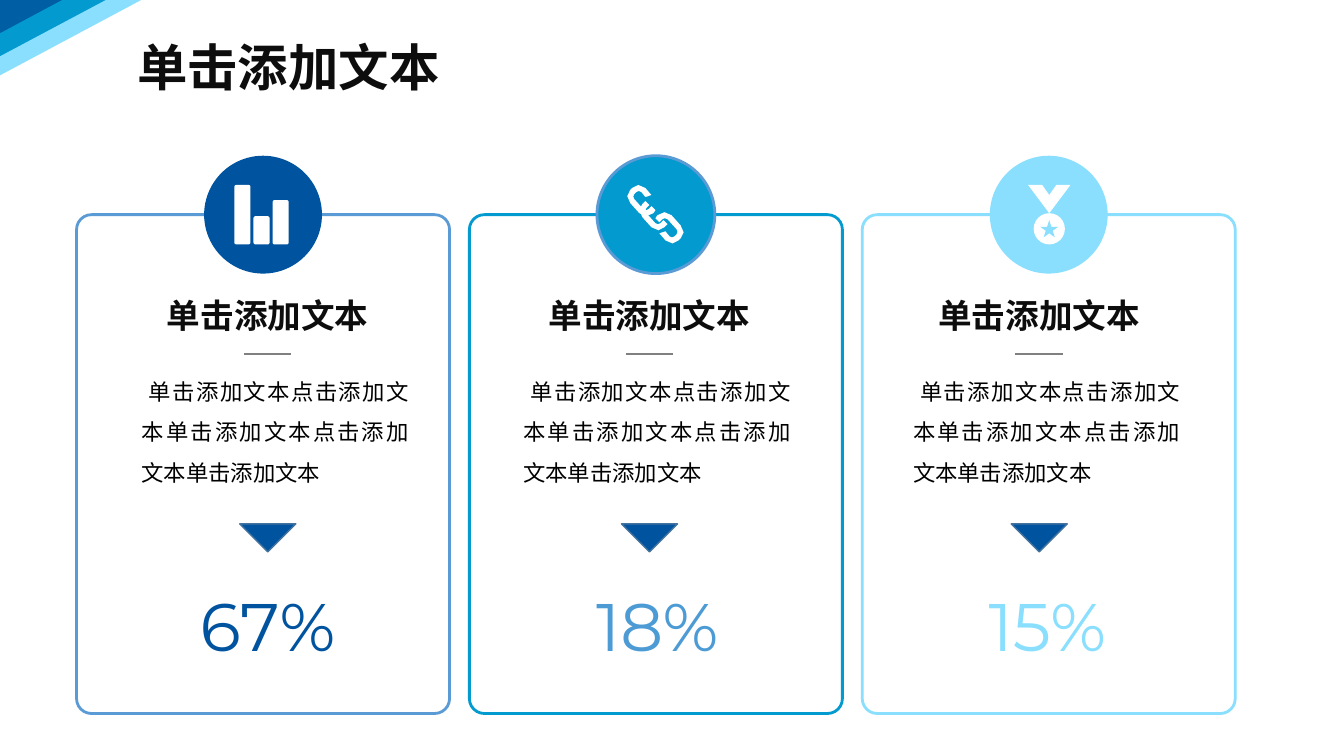
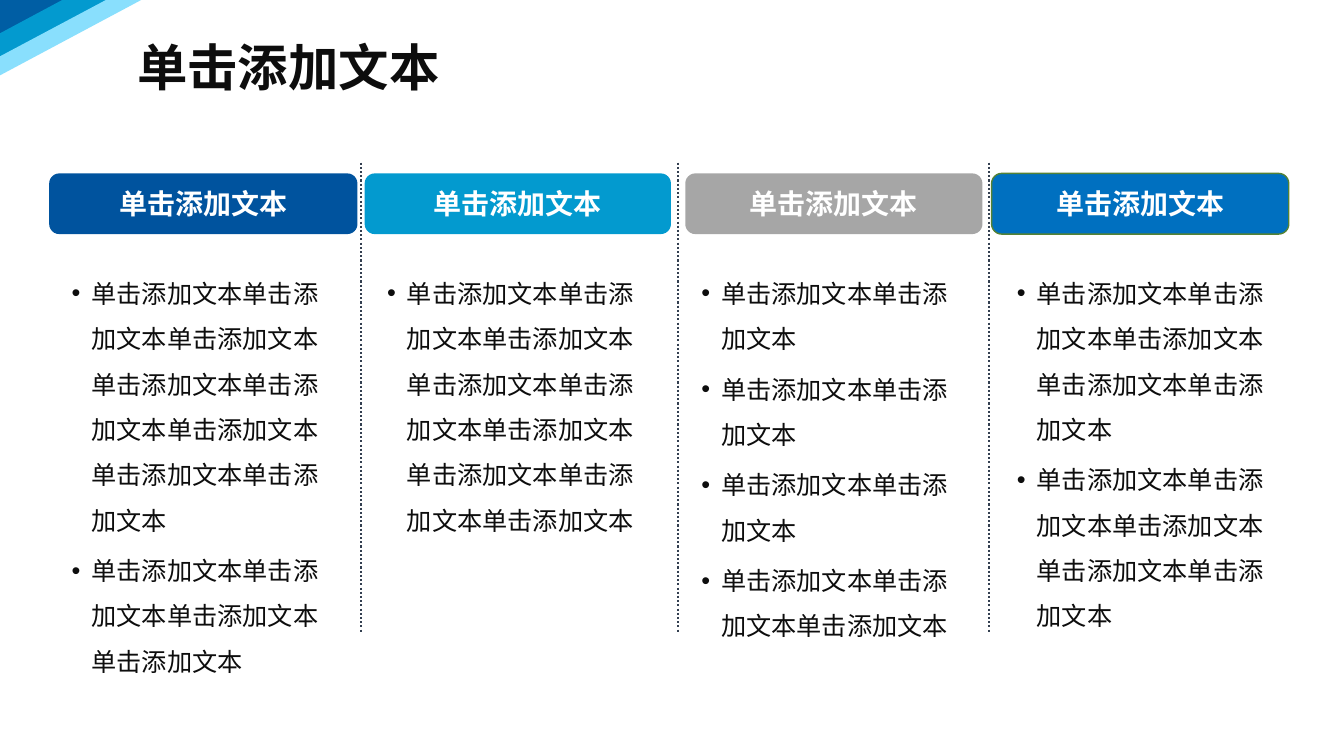
import lxml.etree
import pptx
import pptx.dml.color
import pptx.enum.dml
import pptx.enum.shapes
import pptx.enum.text
import pptx.oxml.ns
import pptx.util

Cm = pptx.util.Cm
Pt = pptx.util.Pt
SHAPE = pptx.enum.shapes.MSO_SHAPE
ALIGN = pptx.enum.text.PP_ALIGN
ANCHOR = pptx.enum.text.MSO_ANCHOR
qn = pptx.oxml.ns.qn

CJK = "Noto Sans CJK SC"
COLORS = {
    "deep": "005EA4", "navy": "00539E", "cyan": "039ACF", "sky": "89DFFD",
    "frame": "5B9BD5", "mid": "4D9BD4", "blue": "0070C0", "gray": "A6A6A6",
    "rule": "808080", "slate": "333F50", "edge": "43739E", "green": "548235",
    "ink": "0D0D0D", "black": "000000", "white": "FFFFFF",
}
FONTS = {
    "title": {"name": CJK, "size": Pt(36), "bold": True},
    "card_heading": {"name": "Arial", "size": Pt(24), "bold": True},
    "card_text": {"name": CJK, "size": Pt(16), "bold": False},
    "percent": {"name": "Montserrat", "size": Pt(48), "bold": False},
    "column_heading": {"name": CJK, "size": Pt(20), "bold": True},
    "column_list": {"name": CJK, "size": Pt(18), "bold": False},
}
PHRASE = "单击添加文本"
CARD_TEXT = "单击添加文本点击添加文本单击添加文本点击添加文本单击添加文本"

# Corner bands, points in cm
BANDS = [
    ("deep", [(0, 0.92), (0, 0), (1.73, 0)]),
    ("cyan", [(0, 1.55), (0, 0.84), (1.57, 0), (2.87, 0)]),
    ("sky", [(0, 1.9), (0, 1.42), (2.67, 0), (3.56, 0)]),
]

# Icon outlines on a square grid that spans the badge
GRID = 117
END_LINK = [
    (83, 69), (74, 59), (67, 56), (60, 59), (58, 62), (62, 66), (65, 63),
    (67, 62), (70, 63), (79, 73), (80, 75.5), (79, 78), (77, 80), (74.5, 81),
    (72, 80), (68, 75), (65, 76), (62, 77), (68, 84), (75, 87), (81, 84),
    (83, 82), (86, 76),
]
MIDDLE_LINK = [
    (70, 68), (66, 64), (63, 67), (60.5, 68), (58, 67), (49, 57), (48, 54.5),
    (49, 52), (52, 49), (48, 45), (45, 48), (42, 54), (45, 61), (54, 71),
    (61, 74), (67, 71),
]
RIBBON = [(38, 29), (52, 29), (59, 39), (66, 29), (80, 29), (59, 57)]


def rgb(color):
    return pptx.dml.color.RGBColor.from_string(COLORS[color])


def paint(shape, fill=None, line=None, width=1):
    shape.shadow.inherit = False
    if fill:
        shape.fill.solid()
        shape.fill.fore_color.rgb = rgb(fill)
    else:
        shape.fill.background()
    if line:
        shape.line.color.rgb = rgb(line)
        shape.line.width = Pt(width)
    else:
        shape.line.fill.background()


def add_preset(slide, preset, box, corner=None, **look):
    shape = slide.shapes.add_shape(preset, *map(int, box))
    if corner is not None:
        shape.adjustments[0] = corner
    paint(shape, **look)
    return shape


def add_outline(slide, points, unit, fill, left=0, top=0):
    """Closed polygon; points are multiples of unit from (left, top)."""
    first, *rest = [(int(left + x * unit), int(top + y * unit)) for x, y in points]
    builder = slide.shapes.build_freeform(*first, scale=1.0)
    builder.add_line_segments(rest, close=True)
    outline = builder.convert_to_shape()
    paint(outline, fill)
    return outline


def add_line(slide, start, end, color, width, dash=None):
    line = slide.shapes.add_connector(
        pptx.enum.shapes.MSO_CONNECTOR.STRAIGHT, *start, *end)
    line.line.color.rgb = rgb(color)
    line.line.width = Pt(width)
    if dash:
        line.line.dash_style = dash
    lxml.etree.SubElement(line.element.spPr, qn("a:effectLst"))


def write(paragraph, text, style, color, **layout):
    """Add one formatted run; layout holds paragraph attributes."""
    for name, value in layout.items():
        setattr(paragraph, name, value)
    run = paragraph.add_run()
    run.text = text
    for name, value in FONTS[style].items():
        setattr(run.font, name, value)
    run.font.color.rgb = rgb(color)
    east_asian = lxml.etree.SubElement(run.font._element, qn("a:ea"))
    east_asian.set("typeface", CJK)


def set_frame(frame, wrap=True, anchor=ANCHOR.TOP):
    frame.auto_size = pptx.enum.text.MSO_AUTO_SIZE.NONE
    frame.word_wrap = wrap
    frame.vertical_anchor = anchor


def place(shape, left, top, width, height):
    shape.left, shape.top, shape.width, shape.height = left, top, width, height


def add_text(slide, box, text, style, color, **layout):
    frame = slide.shapes.add_textbox(*box).text_frame
    set_frame(frame)
    write(frame.paragraphs[0], text, style, color, **layout)
    return frame.paragraphs[0]


def add_titled_slide(deck, layout_index):
    slide = deck.slides.add_slide(deck.slide_layouts[layout_index])
    title = slide.shapes.title
    place(title, Cm(3.2), Cm(0.79), Cm(8.2), Cm(1.8))
    set_frame(title.text_frame, wrap=False)
    write(title.text_frame.paragraphs[0], PHRASE, "title", "ink",
          alignment=ALIGN.LEFT, space_before=Pt(0))
    return slide


def move_bands_to_master(deck, slide):
    """Draw the corner bands on a slide, then hand them to the master."""
    for index, (color, points) in enumerate(BANDS):
        band = add_outline(slide, points, Cm(1), color).element
        band.nvSpPr.cNvPr.set("id", str(101 + index))
        deck.slide_master.shapes.element.insert(2 + index, band)


def draw_bars(slide, left, top, unit, badge_color):
    for x, y in [(30, 29), (49, 60), (68, 44)]:
        add_preset(slide, SHAPE.ROUNDED_RECTANGLE,
                   (left + x * unit, top + y * unit, 16 * unit, (88 - y) * unit),
                   corner=0.12, fill="white")


def draw_chain(slide, left, top, unit, badge_color):
    turned_link = [(116 - x, 116 - y) for x, y in END_LINK]
    for link in (END_LINK, turned_link, MIDDLE_LINK):
        add_outline(slide, link, unit, "white", left, top)


def draw_medal(slide, left, top, unit, badge_color):
    add_outline(slide, RIBBON, unit, "white", left, top)
    add_preset(slide, SHAPE.OVAL,
               (left + 43.5 * unit, top + 57 * unit, 31 * unit, 31 * unit),
               fill="white")
    add_preset(slide, SHAPE.STAR_5_POINT,
               (left + 50 * unit, top + 64 * unit, 18 * unit, 17 * unit),
               fill=badge_color)


def add_card(slide, left, top, width, height, card):
    add_preset(slide, SHAPE.ROUNDED_RECTANGLE, (left, top, width, height),
               corner=0.04, line=card["frame"], width=2)
    diameter = Cm(2.97)
    badge_left = left + (width - diameter) // 2
    badge_top = top - diameter // 2
    add_preset(slide, SHAPE.OVAL, (badge_left, badge_top, diameter, diameter),
               fill=card["badge"], line=card["ring"], width=2)
    card["icon"](slide, badge_left, badge_top, diameter / GRID, card["badge"])

    text_left = left + Cm(card["text_inset"])
    text_width = Cm(7.65)
    add_text(slide, (text_left, top + Cm(1.9), text_width, Cm(1.27)),
             PHRASE, "card_heading", "ink", alignment=ALIGN.CENTER)
    rule_left, rule_top = text_left + Cm(3.23), top + Cm(3.51)
    add_line(slide, (rule_left, rule_top), (rule_left + Cm(1.19), rule_top),
             "rule", 1.75)
    description = add_text(
        slide, (text_left + Cm(0.4), top + Cm(3.66), Cm(7.24), Cm(3.23)),
        CARD_TEXT, "card_text", "black", alignment=ALIGN.JUSTIFY, line_spacing=1.5)
    description._p.get_or_add_pPr().set("indent", str(Cm(0.18)))
    pointer = add_preset(slide, SHAPE.RIGHT_TRIANGLE,
                         (text_left + Cm(3.33), top + Cm(7.29), Cm(1), Cm(1)),
                         fill="navy", line="edge")
    pointer.rotation = 315
    add_text(slide, (left + Cm(card["percent_inset"]), top + Cm(9.19),
                     text_width, Cm(2.31)),
             card["percent"], "percent", card["percent_color"],
             alignment=ALIGN.CENTER)


def fill_list(holder, phrase_counts):
    set_frame(holder.text_frame)
    for index, count in enumerate(phrase_counts):
        paragraph = (holder.text_frame.add_paragraph() if index
                     else holder.text_frame.paragraphs[0])
        properties = paragraph._p.get_or_add_pPr()
        properties.set("marL", str(Cm(0.5)))
        properties.set("indent", str(-Cm(0.5)))
        lxml.etree.SubElement(properties, qn("a:buFont")).set("typeface", "Arial")
        lxml.etree.SubElement(properties, qn("a:buChar")).set("char", "•")
        write(paragraph, PHRASE * count, "column_list", "ink",
              alignment=ALIGN.LEFT, line_spacing=1.5,
              space_before=Pt(3.6 if index else 0))


def add_column(slide, holder, left, top, width, column):
    heading = add_preset(slide, SHAPE.ROUNDED_RECTANGLE,
                         (left, top, width, Cm(1.53)),
                         fill=column["fill"], line=column["line"])
    set_frame(heading.text_frame, anchor=ANCHOR.MIDDLE)
    write(heading.text_frame.paragraphs[0], PHRASE, "column_heading", "white",
          alignment=ALIGN.CENTER)
    place(holder, left + Cm(column["inset"]), top + Cm(2.13),
          Cm(7.19), Cm(column["height"]))
    fill_list(holder, column["counts"])


def build_cards(slide):
    cards = [
        {"frame": "frame", "badge": "navy", "ring": None, "icon": draw_bars,
         "text_inset": 0.99, "percent_inset": 0.99,
         "percent": "67%", "percent_color": "navy"},
        {"frame": "cyan", "badge": "cyan", "ring": "frame", "icon": draw_chain,
         "text_inset": 0.71, "percent_inset": 0.91,
         "percent": "18%", "percent_color": "mid"},
        {"frame": "sky", "badge": "sky", "ring": None, "icon": draw_medal,
         "text_inset": 0.63, "percent_inset": 0.84,
         "percent": "15%", "percent_color": "sky"},
    ]
    for index, card in enumerate(cards):
        add_card(slide, Cm(1.93) + index * Cm(9.9), Cm(5.41), Cm(9.4), Cm(12.57),
                 card)


def build_columns(slide):
    columns = [
        {"left": 1.24, "width": 7.77, "fill": "navy", "line": None,
         "inset": 0.31, "height": 10.67, "counts": [8, 4]},
        {"left": 9.19, "width": 7.72, "fill": "cyan", "line": None,
         "inset": 0.31, "height": 7.04, "counts": [9]},
        {"left": 17.27, "width": 7.49, "fill": "gray", "line": None,
         "inset": 0.15, "height": 9.8, "counts": [2, 2, 2, 3]},
        {"left": 24.99, "width": 7.49, "fill": "blue", "line": "green",
         "inset": 0.38, "height": 9.5, "counts": [5, 5]},
    ]
    holders = [holder for holder in slide.placeholders
               if holder.placeholder_format.idx > 0]
    for holder, column in zip(holders, columns):
        add_column(slide, holder, Cm(column["left"]), Cm(4.37),
                   Cm(column["width"]), column)
    for x in (9.09, 17.09, 24.92):
        add_line(slide, (Cm(x), Cm(4.1)), (Cm(x), Cm(15.95)), "slate", 1.5,
                 pptx.enum.dml.MSO_LINE.ROUND_DOT)


def main():
    deck = pptx.Presentation()
    deck.slide_width, deck.slide_height = Cm(33.87), Cm(19.05)
    card_slide = add_titled_slide(deck, 5)
    move_bands_to_master(deck, card_slide)
    build_cards(card_slide)
    build_columns(add_titled_slide(deck, 4))
    deck.save("out.pptx")


if __name__ == "__main__":
    main()
